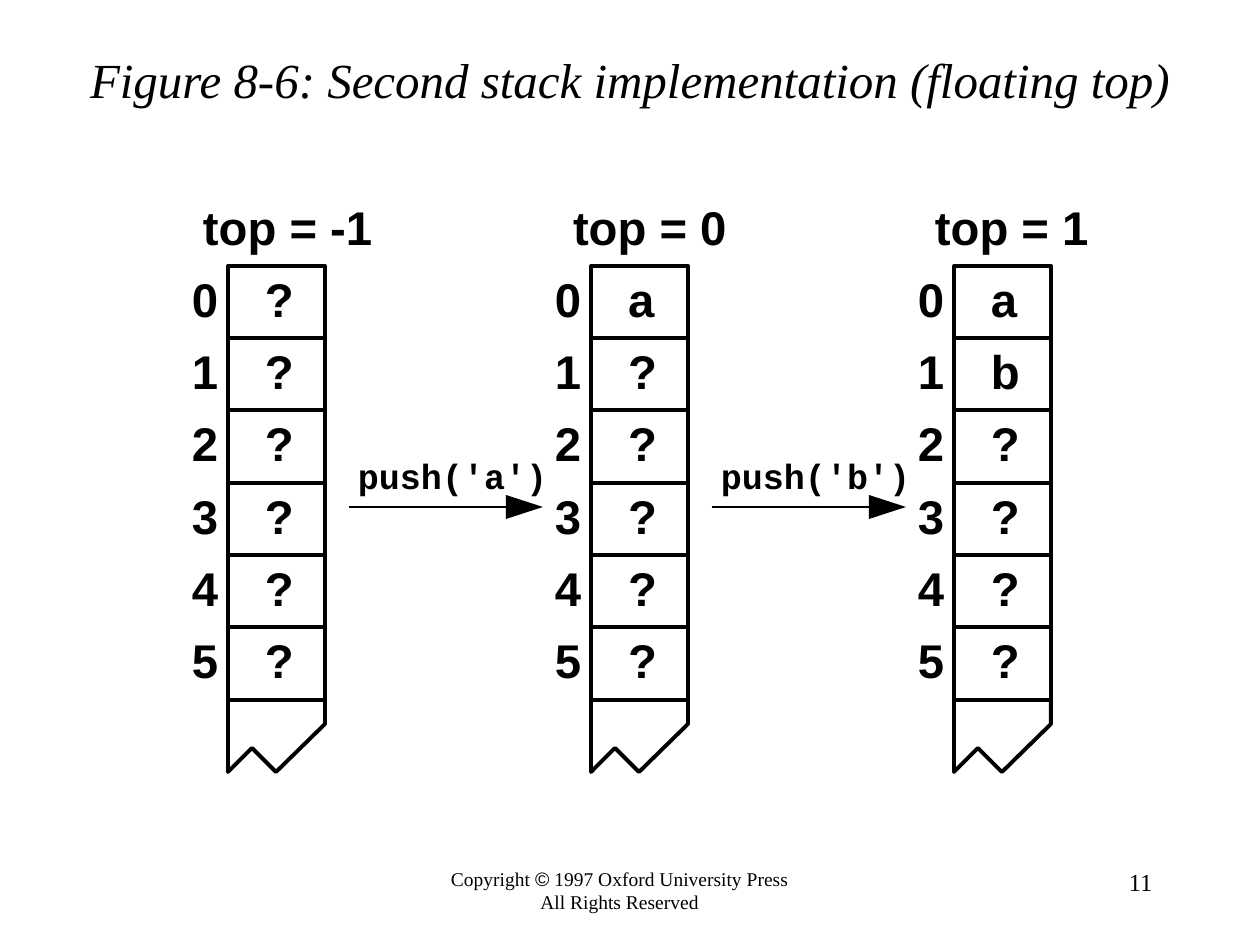
from pptx import Presentation
from pptx.dml.color import RGBColor
from pptx.enum.shapes import MSO_CONNECTOR, MSO_SHAPE
from pptx.enum.text import MSO_ANCHOR, MSO_AUTO_SIZE, PP_ALIGN
from pptx.oxml.ns import qn
from pptx.util import Emu, Pt
from lxml import etree

LEFT, MID, RIGHT = PP_ALIGN.LEFT, PP_ALIGN.CENTER, PP_ALIGN.RIGHT
TOP, CENTER = MSO_ANCHOR.TOP, MSO_ANCHOR.MIDDLE
FIXED, GROW = MSO_AUTO_SIZE.NONE, MSO_AUTO_SIZE.SHAPE_TO_FIT_TEXT
RECT, LINE = MSO_SHAPE.RECTANGLE, MSO_CONNECTOR.STRAIGHT
PX = 914400 / 126

THEME = {
    "ink": RGBColor(0, 0, 0),
    "thick": Pt(2.25),
    "thin": Pt(1.5),
    "title": {"name": "Times New Roman", "size": Pt(28), "italic": True},
    "foot": {"name": "Times New Roman", "size": Pt(11.1)},
    "sign": {"name": "Arial", "size": Pt(11.1)},
    "page": {"name": "Times New Roman", "size": Pt(14)},
    "cell": {"name": "Arial", "size": Pt(27), "bold": True},
    "code": {"name": "Courier New", "size": Pt(20), "bold": True},
}

deck = Presentation()
deck.slide_width, deck.slide_height = Emu(round(1260 * PX)), Emu(round(945 * PX))
slide = deck.slides.add_slide(deck.slide_layouts[6])
shapes = slide.shapes


def write(lines, box, style, align=LEFT, anchor=TOP, pad=(0, 0), wrap=False):
    frame = shapes.add_textbox(*[Emu(round(v * PX)) for v in box]).text_frame
    side, edge = [Emu(round(v * 914400)) for v in pad]
    form = {"margin_left": side, "margin_right": side, "margin_top": edge,
            "margin_bottom": edge, "word_wrap": wrap, "vertical_anchor": anchor,
            "auto_size": FIXED if wrap else GROW}
    for key, value in form.items():
        setattr(frame, key, value)
    para = frame.paragraphs[0]
    para.alignment = align
    for row, line in enumerate(lines):
        if row:
            para.add_line_break()
        for part, kind in line if isinstance(line, list) else [(line, style)]:
            run = para.add_run()
            run.text = part
            for key, value in THEME[kind].items():
                setattr(run.font, key, value)
            run.font.color.rgb = THEME["ink"]


def rule(x1, y1, x2, y2, width):
    ends = [Emu(round(v * PX)) for v in (x1, y1, x2, y2)]
    line = shapes.add_connector(LINE, *ends)
    line.line.color.rgb = THEME["ink"]
    line.line.width = width
    etree.SubElement(line._element.spPr, qn("a:effectLst"))


inset = (0.1, 0.05)
notice = [("Copyright ", "foot"), ("©", "sign"), (" 1997 Oxford University Press", "foot")]
write([notice, "All Rights Reserved"], (378, 861, 483, 63), "foot", MID, TOP, inset, True)
write(["11"], (903, 861, 262, 63), "page", RIGHT, TOP, inset, True)
write(["Figure 8-6: Second stack implementation (floating top)"],
      (0, 0, 1260, 158), "title", MID, CENTER, inset, True)

START, PITCH, WIDE = 228, 363, 97
HEAD, TALL, ROWS = 266, 434, 6
FOOT = HEAD + TALL
TORN = [(0, 72), (24, 48), (48, 72), (WIDE, 24), (WIDE, 0)]
STACKS = [
    ("top = -1", 203, 172, "??????", "push('a')"),
    ("top = 0", 573, 156, "a?????", "push('b')"),
    ("top = 1", 935, 156, "ab????", None),
]

for col, (label, side, span, cells, call) in enumerate(STACKS):
    x = START + col * PITCH
    body = shapes.add_shape(RECT, *[Emu(round(v * PX)) for v in (x, HEAD, WIDE, TALL)])
    pen = shapes.build_freeform(x, FOOT, scale=PX)
    pen.add_line_segments([(x + dx, FOOT + dy) for dx, dy in TORN], close=False)
    for item in (body, pen.convert_to_shape()):
        item.shadow.inherit = False
        item.fill.background()
        item.line.color.rgb = THEME["ink"]
        item.line.width = THEME["thick"]

    for row, cell in enumerate(cells):
        y = HEAD + TALL * row // ROWS
        if row:
            rule(x, y, x + WIDE, y, THEME["thick"])
        write([cell], (x + 37, y + 4, 29, 57), "cell")
        write([str(row)], (x - 36, y + 4, 27, 57), "cell")
    write([label], (side, 198, span, 57), "cell")

    if call:
        rule(x + 121, 507, x + 291, 507, THEME["thin"])
        pen = shapes.build_freeform(x + 278, 495, scale=PX)
        pen.add_line_segments([(x + 315, 507), (x + 278, 519)], close=True)
        tip = pen.convert_to_shape()
        tip.shadow.inherit = False
        tip.fill.solid()
        tip.fill.fore_color.rgb = THEME["ink"]
        tip.line.fill.background()
        write([call], (x + 130, 454, 192, 42), "code")

deck.save("out.pptx")
